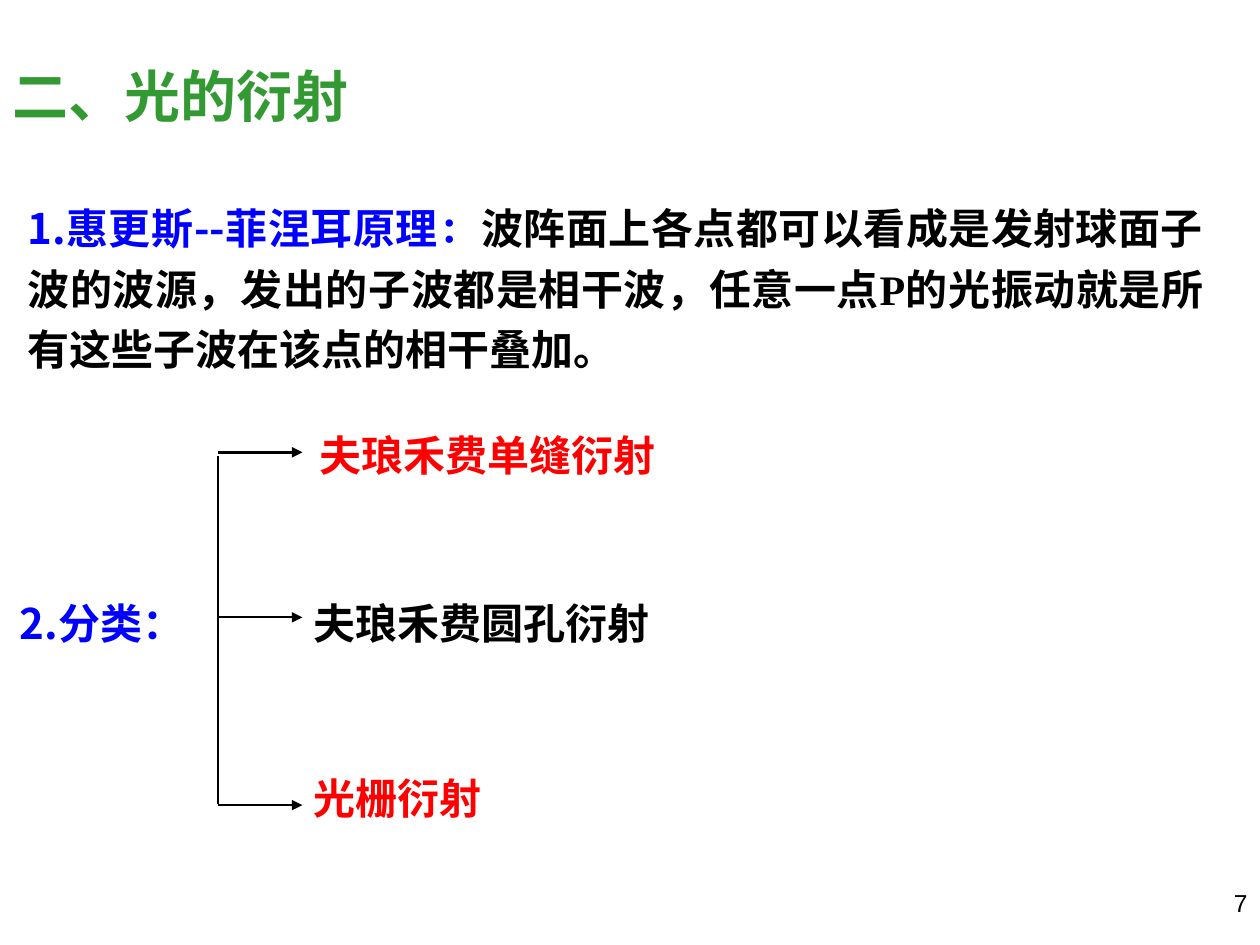
from lxml.etree import SubElement
from pptx import Presentation
from pptx.dml.color import RGBColor
from pptx.enum.shapes import MSO_CONNECTOR
from pptx.enum.text import MSO_ANCHOR, MSO_AUTO_SIZE, PP_ALIGN
from pptx.oxml.ns import qn
from pptx.util import Inches, Pt

SANS = "Noto Sans CJK SC"
SERIF = "Times New Roman"
GREEN, BLUE, RED, BLACK = "339933", "0000FF", "FF0000", "000000"


def color(value):
    return RGBColor.from_string(value)


class SlideBuilder:
    def __init__(self, slide, size=24, line_width=1.5):
        self.slide = slide
        self.size = size
        self.line_width = line_width

    def format_span(self, span, font_name, fill, size, bold):
        font = span.font
        font.name = font_name
        font.size = Pt(size)
        font.bold = bold
        font.color.rgb = color(fill)
        SubElement(font._element, qn("a:ea")).set("typeface", font_name)

    def fill_box(self, box, spans, size=None, align=PP_ALIGN.LEFT, spacing=None,
                 bold=True, auto_size=MSO_AUTO_SIZE.SHAPE_TO_FIT_TEXT):
        frame = box.text_frame
        frame.word_wrap = True
        frame.auto_size = auto_size
        frame.vertical_anchor = MSO_ANCHOR.TOP
        para = frame.paragraphs[0]
        para.alignment = align
        if spacing:
            para.line_spacing = spacing
        for text, font_name, fill in spans:
            span = para.add_run()
            span.text = text
            self.format_span(span, font_name, fill, size or self.size, bold)

    def title(self, left, top, width, height, text, fill):
        box = self.slide.shapes.title
        box.left, box.top = Inches(left), Inches(top)
        box.width, box.height = Inches(width), Inches(height)
        self.fill_box(box, [(text, SANS, fill)], size=32)

    def text(self, left, top, width, height, spans, **style):
        box = self.slide.shapes.add_textbox(
            Inches(left), Inches(top), Inches(width), Inches(height))
        self.fill_box(box, spans, **style)

    def line(self, start, end, width=None, arrow=False):
        connector = self.slide.shapes.add_connector(
            MSO_CONNECTOR.STRAIGHT, *map(Inches, start + end))
        connector.line.color.rgb = color(BLACK)
        connector.line.width = Pt(width or self.line_width)
        if arrow:
            outline = connector.line._get_or_add_ln()
            SubElement(outline, qn("a:tailEnd")).set("type", "triangle")
        SubElement(connector._element.spPr, qn("a:effectLst"))


def main():
    deck = Presentation()
    deck.slide_width, deck.slide_height = Inches(10), Inches(7.5)
    page = SlideBuilder(deck.slides.add_slide(deck.slide_layouts[5]))

    page.title(0, 0.44, 3.41, 0.63, "二、光的衍射", GREEN)

    principle = [
        ("1.惠更斯--菲涅耳原理", SANS, BLUE),
        ("：", SERIF, BLUE),
        ("波阵面上各点都可以看成是发射球面子波的波源，发出的子波都是相干波，任意一点",
         SANS, BLACK),
        ("P", SERIF, BLACK),
        ("的光振动就是所有这些子波在该点的相干叠加。", SANS, BLACK),
    ]
    page.text(0.12, 1.48, 9.53, 1.96, principle,
              align=PP_ALIGN.JUSTIFY, spacing=1.2)
    page.text(0.06, 4.69, 2.02, 0.51, [("2.分类：", SANS, BLUE)])

    trunk, arrow_end = 1.73, 2.4
    page.line((trunk, 3.62), (trunk, 6.38))
    branches = [
        ("夫琅禾费单缝衍射", RED, 2.44, 3.36, 3.82, 3.59, 1.5),
        ("夫琅禾费圆孔衍射", BLACK, 2.39, 4.69, 3.32, 4.9, 1.25),
        ("光栅衍射", RED, 2.39, 6.08, 7.02, 6.39, 1.5),
    ]
    for label, fill, left, top, width, arrow_y, weight in branches:
        page.line((trunk, arrow_y), (arrow_end, arrow_y), weight, arrow=True)
        page.text(left, top, width, 0.51, [(label, SANS, fill)])

    page.text(7.92, 7, 2.08, 0.5, [("7", "Arial", BLACK)], size=14,
              align=PP_ALIGN.RIGHT, bold=False, auto_size=MSO_AUTO_SIZE.NONE)

    deck.save("out.pptx")


if __name__ == "__main__":
    main()
